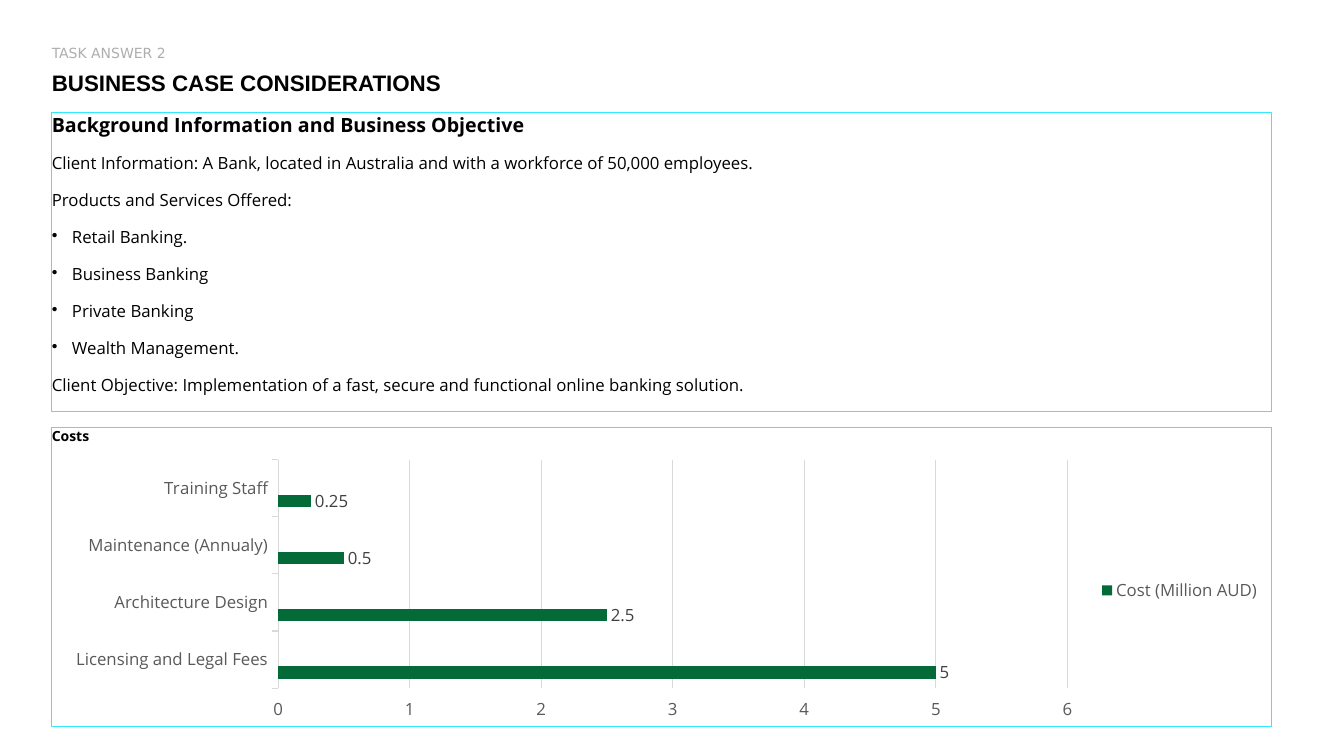
import pptx
import pptx.util
import pptx.chart.data
import pptx.dml.color
import pptx.enum.chart
import pptx.enum.shapes
import pptx.enum.text
import pptx.oxml
import pptx.oxml.ns
from pptx.util import Pt

RGBColor = pptx.dml.color.RGBColor
BLACK = RGBColor(0x00, 0x00, 0x00)
HEADER_GREY = RGBColor(0xAC, 0xAE, 0xB0)
FRAME_CYAN = RGBColor(0x32, 0xE9, 0xFF)
AXIS_TEXT = RGBColor(0x59, 0x59, 0x59)
LABEL_TEXT = RGBColor(0x40, 0x40, 0x40)
RULE_GREY = RGBColor(0xD9, 0xD9, 0xD9)
SERIES_COLORS = [
    RGBColor(0x04, 0x6A, 0x38),
    RGBColor(0x01, 0x21, 0x69),
    RGBColor(0x75, 0x78, 0x7B),
]
LEFT, WIDTH = Pt(37), Pt(871)


def set_font(font, name, size, color, bold=False):
    font.name, font.size, font.bold = name, Pt(size), bold
    font.color.rgb = color


def fill_text(shape, lines, font_name, color):
    frame = shape.text_frame
    frame.margin_left = frame.margin_top = frame.margin_right = frame.margin_bottom = 0
    frame.word_wrap = True
    frame.vertical_anchor = pptx.enum.text.MSO_ANCHOR.TOP
    frame.text = "\n".join(text for text, size, bold, bullet in lines)
    for paragraph, (text, size, bold, bullet) in zip(frame.paragraphs, lines):
        paragraph.alignment = pptx.enum.text.PP_ALIGN.LEFT
        paragraph.space_before = paragraph.space_after = Pt(6 if len(lines) > 1 else 0)
        set_font(paragraph.runs[0].font, font_name, size, color, bold)
        properties = paragraph._p.get_or_add_pPr()
        indent = Pt(14.4) if bullet else 0
        properties.set("marL", str(indent))
        properties.set("indent", str(-indent))
        mark = '<a:buChar %s char="•"/>' if bullet else "<a:buNone %s/>"
        properties.append(pptx.oxml.parse_xml(mark % pptx.oxml.ns.nsdecls("a")))


deck = pptx.Presentation()
deck.slide_width, deck.slide_height = Pt(960), Pt(540)
slide = deck.slides.add_slide(deck.slide_layouts[1])

task_label = slide.shapes.title
task_label.left, task_label.top, task_label.width, task_label.height = LEFT, Pt(32), Pt(721), Pt(10)
fill_text(task_label, [("TASK ANSWER 2", 10, False, False)], "DejaVu Sans", HEADER_GREY)

heading = slide.placeholders[1]
heading.left, heading.top, heading.width, heading.height = LEFT, Pt(49.5), Pt(721), Pt(24)
fill_text(heading, [("BUSINESS CASE CONSIDERATIONS", 16, True, False)], "Arial", BLACK)

services = ["Retail Banking.", "Business Banking", "Private Banking", "Wealth Management."]
background = [
    ("Background Information and Business Objective", 14, True, False),
    ("Client Information: A Bank, located in Australia and with a workforce of 50,000 employees.", 12, False, False),
    ("Products and Services Offered:", 12, False, False),
    *[(service, 12, False, True) for service in services],
    ("Client Objective: Implementation of a fast, secure and functional online banking solution.", 12, False, False),
]
for top, lines in [(305.5, [("Costs", 10, True, False)]), (80.5, background)]:
    panel = slide.shapes.add_shape(
        pptx.enum.shapes.MSO_SHAPE.RECTANGLE, LEFT, Pt(top), WIDTH, Pt(213.5))
    panel.shadow.inherit = False
    panel.fill.background()
    panel.line.color.rgb = FRAME_CYAN
    panel.line.width = Pt(0.75)
    fill_text(panel, lines, "Open Sans", BLACK)

costs = pptx.chart.data.CategoryChartData()
costs.categories = ["Licensing and Legal Fees", "Architecture Design", "Maintenance (Annualy)", "Training Staff"]
costs.add_series("Cost (Million AUD)", [5, 2.5, 0.5, 0.25])
costs.add_series("Series 2", [None] * 4)
costs.add_series("Column2", [None] * 4)
cost_chart = slide.shapes.add_chart(
    pptx.enum.chart.XL_CHART_TYPE.BAR_CLUSTERED, LEFT, Pt(324.5), WIDTH, Pt(194.5), costs).chart
cost_chart.has_title = False
set_font(cost_chart.font, "Open Sans", 10, BLACK)

plot = cost_chart.plots[0]
plot.gap_width = 150
plot.overlap = 0
plot.vary_by_categories = False
for series, color in zip(plot.series, SERIES_COLORS):
    series.format.fill.solid()
    series.format.fill.fore_color.rgb = color
    series.invert_if_negative = False
    labels = series.data_labels
    labels.show_value = True
    labels.position = pptx.enum.chart.XL_LABEL_POSITION.OUTSIDE_END
    set_font(labels.font, "Open Sans", 12, LABEL_TEXT)

for axis in (cost_chart.category_axis, cost_chart.value_axis):
    set_font(axis.tick_labels.font, "Open Sans", 12, AXIS_TEXT)
    axis.major_tick_mark = pptx.enum.chart.XL_TICK_MARK.OUTSIDE
cost_chart.category_axis.format.line.color.rgb = RULE_GREY
cost_chart.category_axis.format.line.width = Pt(0.75)
amounts = cost_chart.value_axis
amounts.minimum_scale, amounts.maximum_scale, amounts.major_unit = 0, 6, 1
amounts.format.line.fill.background()
amounts.major_gridlines.format.line.color.rgb = RULE_GREY
amounts.major_gridlines.format.line.width = Pt(0.75)

cost_chart.has_legend = True
legend = cost_chart.legend
legend.position = pptx.enum.chart.XL_LEGEND_POSITION.RIGHT
legend.include_in_layout = False
set_font(legend.font, "Open Sans", 12, AXIS_TEXT)
for place in (0, 1):
    legend._element.insert(place + 1, pptx.oxml.parse_xml(
        '<c:legendEntry %s><c:idx val="%d"/><c:delete val="1"/></c:legendEntry>'
        % (pptx.oxml.ns.nsdecls("c"), place)))

deck.save("out.pptx")
